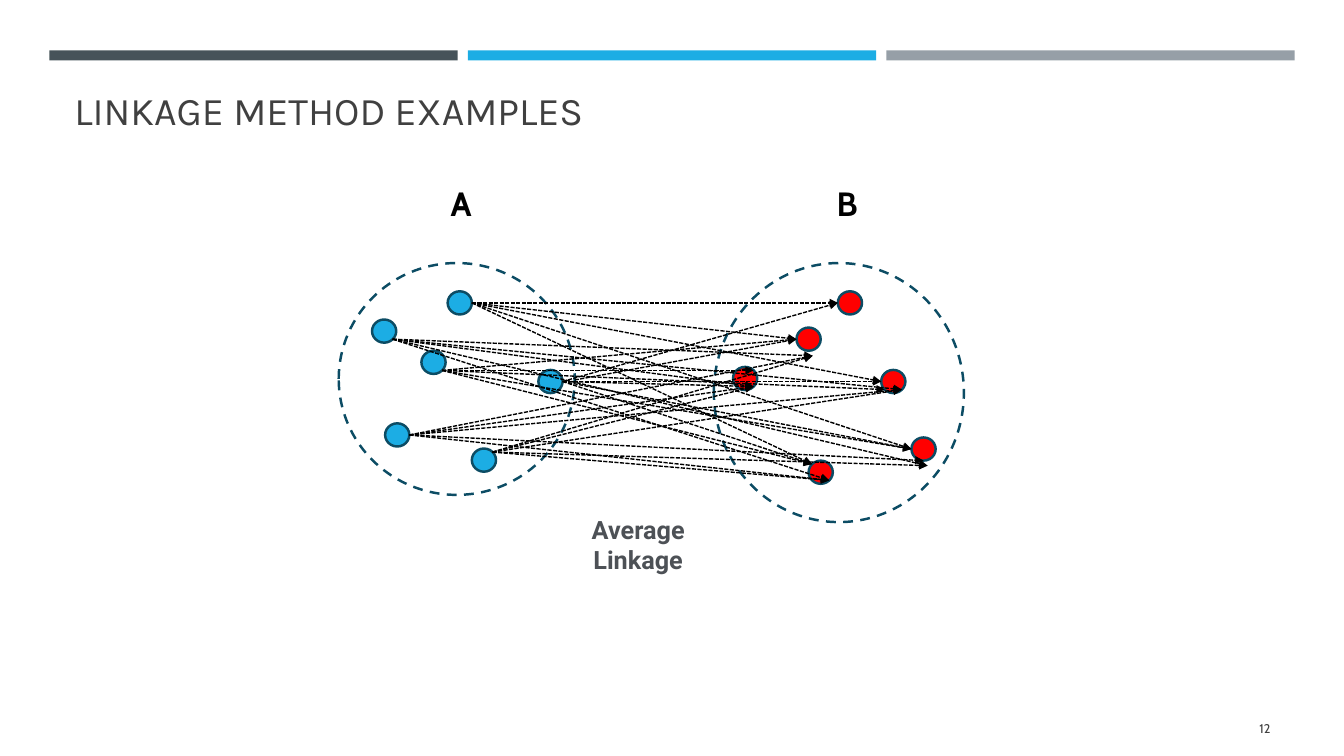
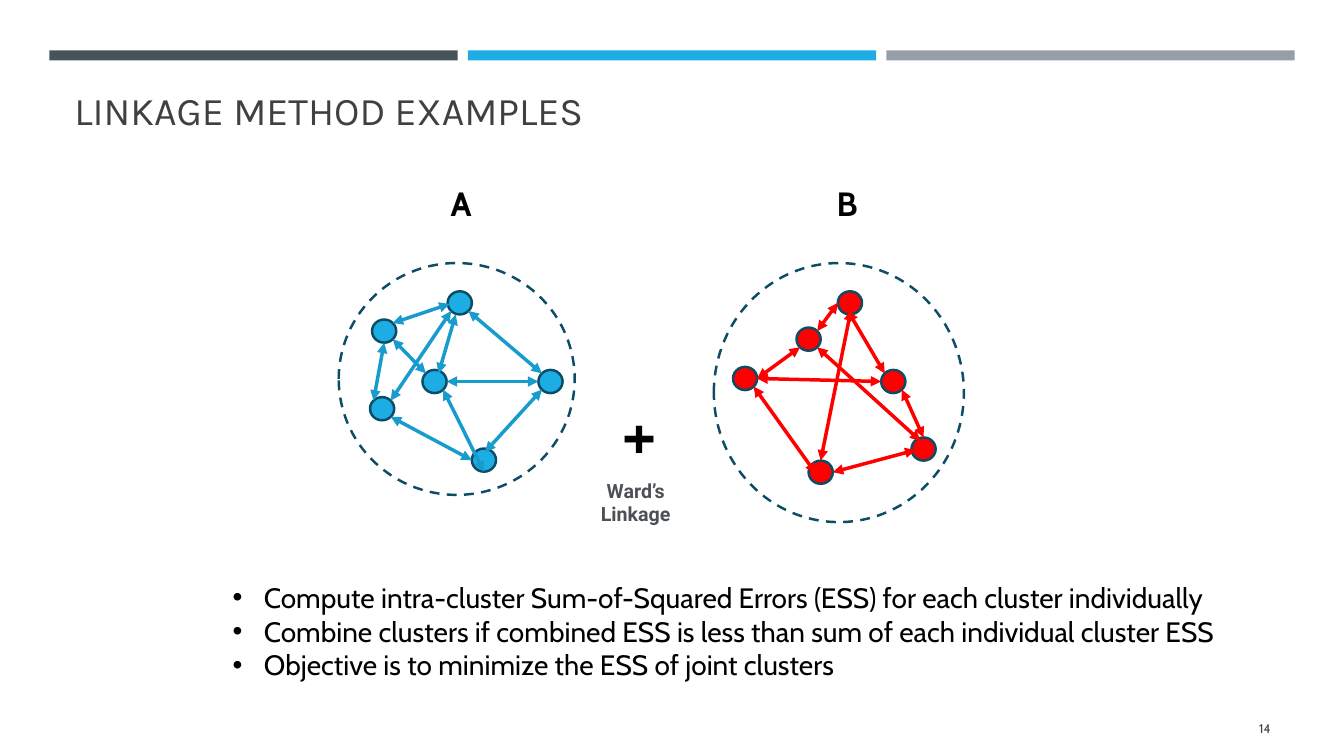
from lxml.etree import SubElement
from pptx import Presentation
from pptx.dml.color import RGBColor
from pptx.enum.dml import MSO_LINE
from pptx.enum.shapes import MSO_CONNECTOR, MSO_SHAPE
from pptx.enum.text import MSO_ANCHOR, MSO_AUTO_SIZE, PP_ALIGN
from pptx.oxml.ns import qn
from pptx.util import Inches, Pt

BLACK, GREY, LABEL_GREY = "000000", "404040", "4D5156"
BLUE, LINK_BLUE, RED, OUTLINE = "1CADE4", "189CCE", "FF0000", "0C4C64"
BANDS = ["465359", BLUE, "969FA7"]
HEADING, BODY, CAPTION = "Karla", "Cabin", "Roboto"

RING_A = (3.36, 2.61, 2.34, 2.30)
RING_B = (7.08, 2.61, 2.48, 2.57)
DOT_W, DOT_H = 0.24, 0.23

# Offsets from the centre of a dot to the points on its rim
SITES = {
    "N": (0, -0.115), "S": (0, 0.115), "W": (-0.12, 0), "E": (0.12, 0),
    "NW": (-0.085, -0.08), "NE": (0.085, -0.08),
    "SW": (-0.085, 0.08), "SE": (0.085, 0.08),
    "below": (0.04, 0.165),
}

# Top left corners of the dots, measured from their ring
DOTS_A = {"left": (0.33, 0.56), "top": (1.08, 0.28), "right": (1.98, 1.06),
          "bottom": (1.32, 1.84)}
DOTS_A_AVERAGE = DOTS_A | {"low": (0.46, 1.59), "mid": (0.82, 0.87)}
DOTS_A_WARD = DOTS_A | {"low": (0.31, 1.33), "mid": (0.83, 1.06)}
DOTS_B = {"left": (0.19, 1.03), "top": (1.23, 0.28), "bottom": (0.94, 1.96),
          "right": (1.66, 1.06), "low": (1.96, 1.73), "upper": (0.82, 0.64)}

# Start in A, then the ends in B
FAR_ENDS = [("upper", "below"), ("left", "SE"), ("right", "SE"),
            ("low", "below"), ("bottom", "SE")]
SHARED_ENDS = [("low", "W"), ("bottom", "NW")]
AVERAGE_LINKS = [
    (("top", "E"), [("top", "W"), ("upper", "W"), ("right", "W")] + SHARED_ENDS),
    (("ring", (1.17, 0.01)), [("upper", "W")]),
    (("right", "E"), [("top", "W"), ("left", "SE"), ("right", "W")] + SHARED_ENDS),
    (("mid", "SE"), [("upper", "W"), ("left", "NE"), ("right", "SW")] + SHARED_ENDS),
    (("bottom", "NE"), FAR_ENDS),
    (("left", "SE"), FAR_ENDS),
    (("low", "E"), FAR_ENDS[:3] + [("low", "S")] + FAR_ENDS[4:]),
]

WARD_LINKS_A = [
    (("mid", (0.04, -0.08)), ("top", (-0.04, 0.115))),
    (("bottom", (0.01, -0.08)), ("right", "SW")),
    (("mid", "E"), ("right", "W")),
    (("left", "NE"), ("top", (-0.1, 0.01))),
    (("low", "NE"), ("top", "SW")),
    (("right", "NW"), ("top", "SE")),
    (("bottom", "S"), ("mid", "SE")),
    (("bottom", "W"), ("low", "SE")),
    (("mid", "NW"), ("left", "SE")),
    (("low", "NW"), ("left", "S")),
]
WARD_LINKS_B = [
    (("right", "NW"), ("top", (-0.02, 0.08))),
    (("bottom", "N"), ("top", (0.01, 0.07))),
    (("left", "E"), ("upper", "SW")),
    (("low", "N"), ("right", "SE")),
    (("bottom", "E"), ("low", (-0.08, 0.01))),
    (("upper", "SE"), ("low", (-0.03, -0.08))),
    (("left", "E"), ("right", "W")),
    (("left", "SE"), ("bottom", (-0.05, 0.01))),
    (("upper", "NE"), ("top", "W")),
]


def rgb(value):
    return RGBColor.from_string(value)


def add_text(slide, box, text, size=20, font=BODY, color=BLACK, bold=False,
             align=PP_ALIGN.LEFT, anchor=MSO_ANCHOR.TOP, grow=True,
             bullet=None, baseline=None):
    """Write each line of text as one paragraph in a wrapping text box."""
    tf = slide.shapes.add_textbox(*map(Inches, box)).text_frame
    tf.word_wrap = True
    tf.vertical_anchor = anchor
    tf.auto_size = MSO_AUTO_SIZE.SHAPE_TO_FIT_TEXT if grow else MSO_AUTO_SIZE.NONE
    for i, line in enumerate(text.split("\n")):
        p = tf.add_paragraph() if i else tf.paragraphs[0]
        p.alignment = align
        if bullet:
            ppr = p._p.get_or_add_pPr()
            ppr.set("marL", str(Inches(0.31)))
            ppr.set("indent", str(Inches(-0.31)))
            SubElement(ppr, qn("a:buFont")).set("typeface", "Arial")
            SubElement(ppr, qn("a:buChar")).set("char", bullet)
        r = p.add_run()
        r.text = line
        r.font.size, r.font.name, r.font.bold = Pt(size), font, bold
        r.font.color.rgb = rgb(color)
        if baseline is not None:
            r.font._element.set("baseline", str(baseline * 1000))


def add_figure(slide, kind, box, fill=None, line=None, dash=None):
    sp = slide.shapes.add_shape(kind, *map(Inches, box))
    sp.shadow.inherit = False
    if fill:
        sp.fill.solid()
        sp.fill.fore_color.rgb = rgb(fill)
    else:
        sp.fill.background()
    if line:
        sp.line.color.rgb = rgb(line)
        sp.line.width = Pt(1.75)
        sp.line.dash_style = dash
    else:
        sp.line.fill.background()


def add_arrow(slide, start, end, color, width, dash=None, both=False):
    cxn = slide.shapes.add_connector(MSO_CONNECTOR.STRAIGHT,
                                     *map(Inches, (*start, *end)))
    cxn.line.color.rgb = rgb(color)
    cxn.line.width = Pt(width)
    cxn.line.dash_style = dash
    ln = cxn.line._get_or_add_ln()
    for tag in ("a:headEnd", "a:tailEnd") if both else ("a:tailEnd",):
        SubElement(ln, qn(tag)).set("type", "triangle")
    SubElement(cxn._element.spPr, qn("a:effectLst"))


def add_cluster(slide, ring, label, label_dx, dots, color):
    """Draw a labelled ring of dots and return the centres by name."""
    x, y, w, h = ring
    centres = {"ring": (x + w / 2, y + h / 2)}
    for name, (dx, dy) in dots.items():
        add_figure(slide, MSO_SHAPE.OVAL, (x + dx, y + dy, DOT_W, DOT_H),
                   fill=color, line=OUTLINE)
        centres[name] = (x + dx + DOT_W / 2, y + dy + DOT_H / 2)
    add_figure(slide, MSO_SHAPE.OVAL, ring, line=OUTLINE, dash=MSO_LINE.DASH)
    add_text(slide, (x + label_dx, y - 0.84, 0.38, 0.5), label, size=24, bold=True)
    return centres


def rim_point(centres, end):
    """Find the point of a (dot, site) pair; a site is a name or an offset."""
    name, site = end
    dx, dy = SITES.get(site, site)
    x, y = centres[name]
    return x + dx, y + dy


def add_clusters(slide, dots_a):
    return (add_cluster(slide, RING_A, "A", 1.01, dots_a, BLUE),
            add_cluster(slide, RING_B, "B", 1.12, DOTS_B, RED))


def add_caption(slide, box, text, size):
    add_text(slide, box, text, size=size, font=CAPTION, color=LABEL_GREY,
             bold=True, align=PP_ALIGN.CENTER)


def new_slide(prs, number):
    """Add a slide with the bands, title and page number."""
    slide = prs.slides.add_slide(prs.slide_layouts[6])
    for i, color in enumerate(BANDS):
        add_figure(slide, MSO_SHAPE.RECTANGLE, (0.49 + i * 4.15, 0.5, 4.05, 0.1),
                   fill=color)
    add_text(slide, (0.64, 0.77, 12.06, 0.6), "LINKAGE METHOD EXAMPLES", size=28,
             font=HEADING, color=GREY, anchor=MSO_ANCHOR.BOTTOM, grow=False)
    add_text(slide, (11.55, 7.03, 1.15, 0.4), str(number), size=9, color=GREY,
             align=PP_ALIGN.RIGHT, anchor=MSO_ANCHOR.MIDDLE, grow=False)
    return slide


def average_linkage_slide(prs):
    slide = new_slide(prs, 12)
    a, b = add_clusters(slide, DOTS_A_AVERAGE)
    add_caption(slide, (5.58, 5.05, 1.5, 0.71), "Average Linkage", 18)
    for start, ends in AVERAGE_LINKS:
        for end in ends:
            add_arrow(slide, rim_point(a, start), rim_point(b, end), BLACK, 1,
                      dash=MSO_LINE.SQUARE_DOT)


def ward_linkage_slide(prs):
    slide = new_slide(prs, 14)
    a, b = add_clusters(slide, DOTS_A_WARD)
    add_caption(slide, (5.82, 4.7, 0.97, 0.57), "Ward’s Linkage", 14)
    for centres, links, color in ((a, WARD_LINKS_A, LINK_BLUE),
                                  (b, WARD_LINKS_B, RED)):
        for start, end in links:
            add_arrow(slide, rim_point(centres, start), rim_point(centres, end),
                      color, 2.5, both=True)
    add_text(slide, (6.07, 2.86, 1.11, 1.18), "+", size=96, baseline=-25)
    add_text(slide, (2.21, 5.71, 10.13, 1.11),
             "Compute intra-cluster Sum-of-Squared Errors (ESS) for each cluster "
             "individually\n"
             "Combine clusters if combined ESS is less than sum of each individual "
             "cluster ESS\n"
             "Objective is to minimize the ESS of joint clusters", bullet="•")


def main():
    prs = Presentation()
    prs.slide_width, prs.slide_height = Inches(13.33), Inches(7.5)
    average_linkage_slide(prs)
    ward_linkage_slide(prs)
    prs.save("out.pptx")


if __name__ == "__main__":
    main()
